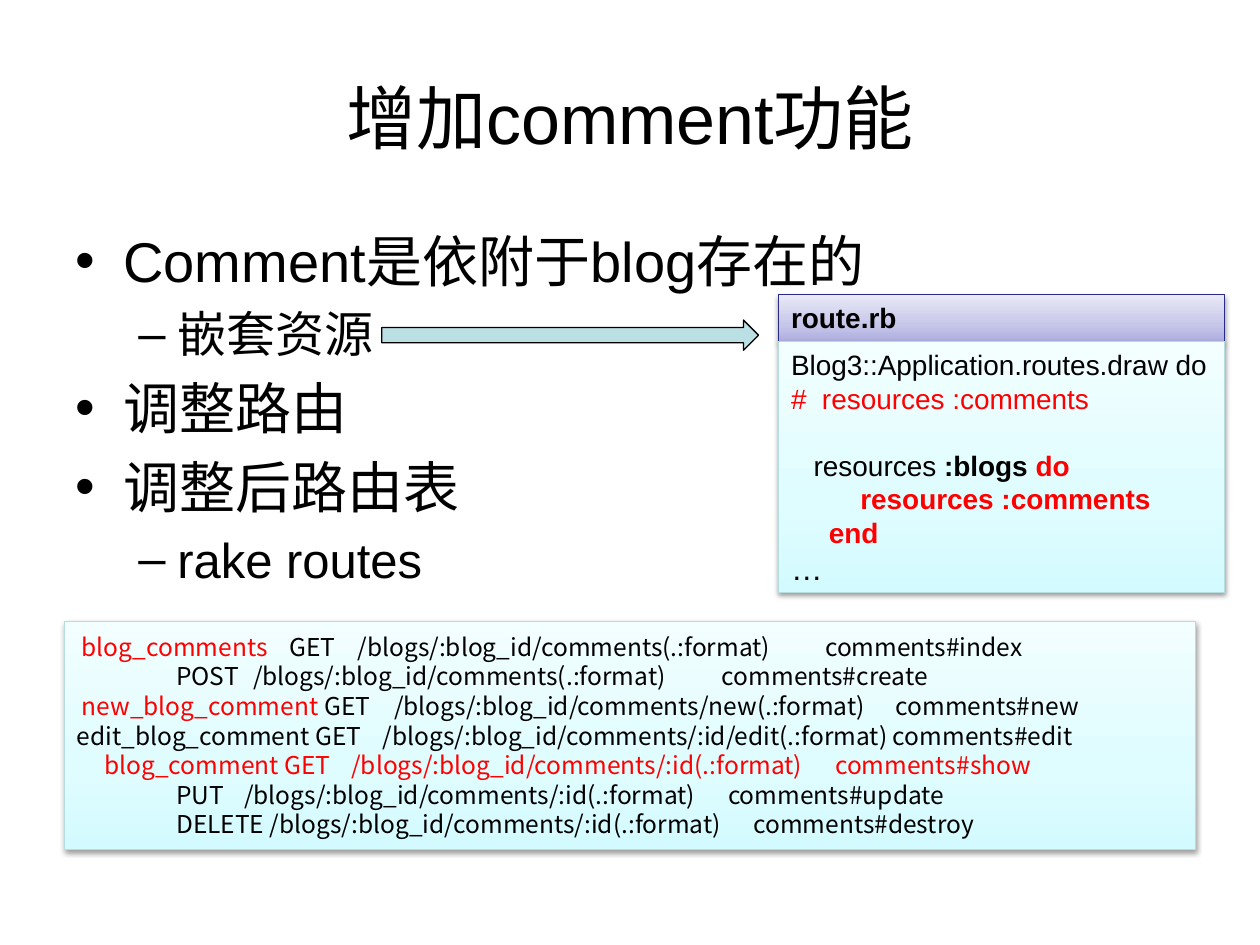
from copy import deepcopy

from lxml.etree import SubElement
from pptx import Presentation
from pptx.dml.color import RGBColor
from pptx.enum.shapes import MSO_SHAPE as Shape
from pptx.enum.text import MSO_ANCHOR as Anchor, PP_ALIGN as Align
from pptx.oxml.ns import qn
from pptx.util import Inches, Pt

BLACK = RGBColor(0x00, 0x00, 0x00)
RED = RGBColor(0xFF, 0x00, 0x00)
TEAL = RGBColor(0xBB, 0xE0, 0xE3)
PALE = RGBColor(0xB6, 0xDC, 0xDF)
NAVY = RGBColor(0x2A, 0x2A, 0x89)
AQUA = [RGBColor(0xD3, 0xFB, 0xFF), RGBColor(0xDF, 0xFC, 0xFF), RGBColor(0xF2, 0xFE, 0xFF)]
LILAC = [RGBColor(0xAD, 0xAD, 0xE1), RGBColor(0xC6, 0xC6, 0xE9), RGBColor(0xE9, 0xE9, 0xF7)]
SANS = "Arial"
CJK = "Noto Sans CJK SC"


def panel(left, top, width, height, tints, edge):
    """Add a rectangle with an upward gradient and a soft shadow; return its text frame."""
    box = slide.shapes.add_shape(
        Shape.RECTANGLE, Inches(left), Inches(top), Inches(width), Inches(height))
    box.fill.gradient()
    box.fill.gradient_angle = 90
    props = box._element.spPr
    stops = props.find(".//" + qn("a:gsLst"))
    stops.insert(1, deepcopy(stops[0]))
    for stop, place, tint in zip(box.fill.gradient_stops, (0, 0.35, 1), tints):
        stop.position = place
        stop.color.rgb = tint
    box.line.color.rgb = edge
    box.line.width = Pt(0.75)
    box.shadow.inherit = False
    glow = SubElement(props.find(qn("a:effectLst")), qn("a:outerShdw"),
                      blurRad=str(Pt(3.1)), dist=str(Pt(1.6)), dir="5400000", rotWithShape="0")
    shade = SubElement(glow, qn("a:srgbClr"), val="000000")
    SubElement(shade, qn("a:alpha"), val="38000")
    frame = box.text_frame
    frame.word_wrap = True
    frame.margin_right = 0
    frame.vertical_anchor = Anchor.TOP
    return frame


def write(para, text, size, color=BLACK, bold=False, font=SANS):
    run = para.add_run()
    run.text = text
    run.font.size = Pt(size)
    run.font.name = font
    run.font.bold = bold
    run.font.color.rgb = color
    SubElement(run._r.rPr, qn("a:ea"), typeface=CJK)


prs = Presentation()
prs.slide_width = Inches(10)
prs.slide_height = Inches(7.5)
slide = prs.slides.add_slide(prs.slide_layouts[6])

# Title
frame = slide.shapes.add_textbox(Inches(0.5), Inches(0.3), Inches(9), Inches(1.25)).text_frame
frame.word_wrap = True
frame.vertical_anchor = Anchor.MIDDLE
frame.paragraphs[0].alignment = Align.CENTER
write(frame.paragraphs[0], "增加comment功能", 40)

# Bullets: size, left margin, hanging indent and mark for each level
LEVELS = [(32, 0.38, -0.38, "•"), (28, 0.81, -0.31, "–")]
points = [
    (0, "Comment是依附于blog存在的"),
    (1, "嵌套资源"),
    (0, "调整路由"),
    (0, "调整后路由表"),
    (1, "rake routes"),
]
frame = slide.shapes.add_textbox(Inches(0.5), Inches(1.75), Inches(9), Inches(4.95)).text_frame
frame.word_wrap = True
for i, (level, text) in enumerate(points):
    size, margin, hang, mark = LEVELS[level]
    para = frame.add_paragraph() if i else frame.paragraphs[0]
    para.level = level
    para.line_spacing = Pt(size * 1.2)
    para.space_before = Pt(size * 0.2 if i else 0)
    props = para._p.get_or_add_pPr()
    props.set("marL", str(Inches(margin)))
    props.set("indent", str(Inches(hang)))
    SubElement(props, qn("a:buFont"), typeface=SANS)
    SubElement(props, qn("a:buChar"), char=mark)
    write(para, text, size)

# Route table: tab stops in inches, then runs
routes = [
    ([0.04, 1.69, 2.23, 5.94],
     [("\tblog_comments", RED),
      ("\tGET\t/blogs/:blog_id/comments(.:format)\tcomments#index", BLACK)]),
    ([0.79, 1.4, 5.12],
     [("\tPOST\t/blogs/:blog_id/comments(.:format)\tcomments#create", BLACK)]),
    ([0.04, 2.52, 6.5],
     [("\tnew_blog_comment ", RED),
      ("GET\t/blogs/:blog_id/comments/new(.:format)\tcomments#new", BLACK)]),
    ([2.43],
     [("edit_blog_comment GET\t/blogs/:blog_id/comments/:id/edit(.:format) comments#edit", BLACK)]),
    ([0.22, 2.18, 6.02],
     [("\tblog_comment GET\t/blogs/:blog_id/comments/:id(.:format)\tcomments#show", RED)]),
    ([0.79, 1.33, 5.17],
     [("\tPUT\t/blogs/:blog_id/comments/:id(.:format)\tcomments#update", BLACK)]),
    ([0.79, 5.37],
     [("\tDELETE /blogs/:blog_id/comments/:id(.:format)\tcomments#destroy", BLACK)]),
]
frame = panel(0.51, 4.93, 8.98, 1.81, AQUA, PALE)
frame.vertical_anchor = Anchor.MIDDLE
for i, (tabs, runs) in enumerate(routes):
    para = frame.add_paragraph() if i else frame.paragraphs[0]
    para.alignment = Align.LEFT
    para.line_spacing = Pt(16.9)
    row = SubElement(para._p.get_or_add_pPr(), qn("a:tabLst"))
    for tab in tabs:
        SubElement(row, qn("a:tab"), pos=str(Inches(tab)), algn="l")
    for text, color in runs:
        write(para, text, 14, color, font=CJK)

# Route file: heading and code
frame = panel(6.18, 2.34, 3.54, 0.37, LILAC, NAVY)
frame.paragraphs[0].alignment = Align.LEFT
write(frame.paragraphs[0], "route.rb", 16, bold=True)

# Code lines: indent in inches, space before in points, size, runs
code = [
    (0, 0, 16, [("Blog3::Application.routes.draw do", BLACK, False)]),
    (0, 0, 16, [("#  resources :comments", RED, False)]),
    (0.18, 19, 16, [("resources", BLACK, False), (" :blogs ", BLACK, True), ("do", RED, True)]),
    (0.55, 0, 16, [("resources :comments", RED, True)]),
    (0.3, 0, 16, [("end", RED, True)]),
    (0, 0, 18, [("…", BLACK, False)]),
]
frame = panel(6.18, 2.71, 3.54, 1.99, AQUA, PALE)
for i, (margin, gap, size, runs) in enumerate(code):
    para = frame.add_paragraph() if i else frame.paragraphs[0]
    para.alignment = Align.LEFT
    para.space_before = Pt(gap)
    para._p.get_or_add_pPr().set("marL", str(Inches(margin)))
    for text, color, bold in runs:
        write(para, text, size, color, bold)

# Arrow from the nested resource to its code
arrow = slide.shapes.add_shape(
    Shape.RIGHT_ARROW, Inches(3.03), Inches(2.54), Inches(2.99), Inches(0.24))
arrow.shadow.inherit = False
arrow.fill.solid()
arrow.fill.fore_color.rgb = TEAL
arrow.line.color.rgb = BLACK
arrow.line.width = Pt(0.75)

prs.save("out.pptx")
